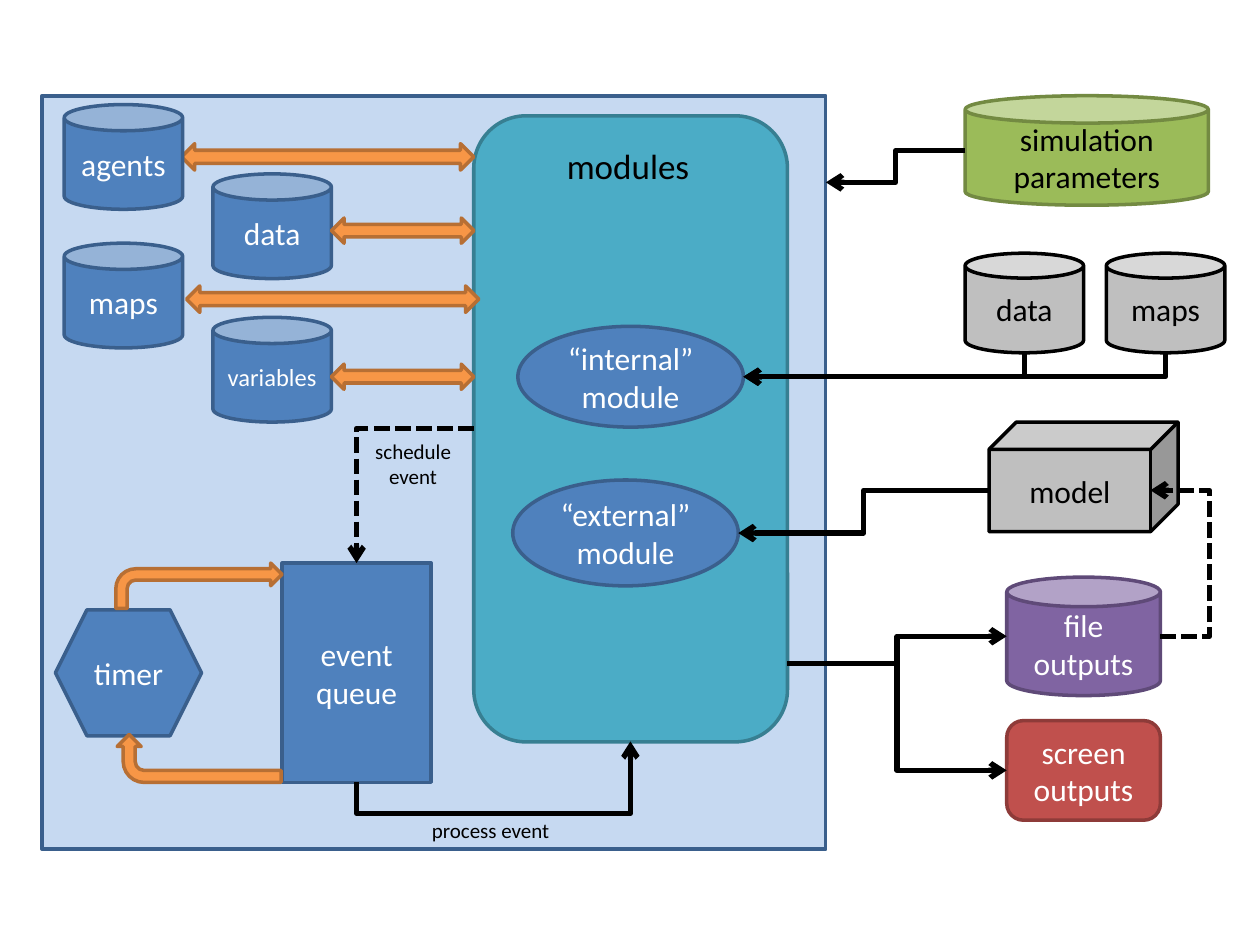
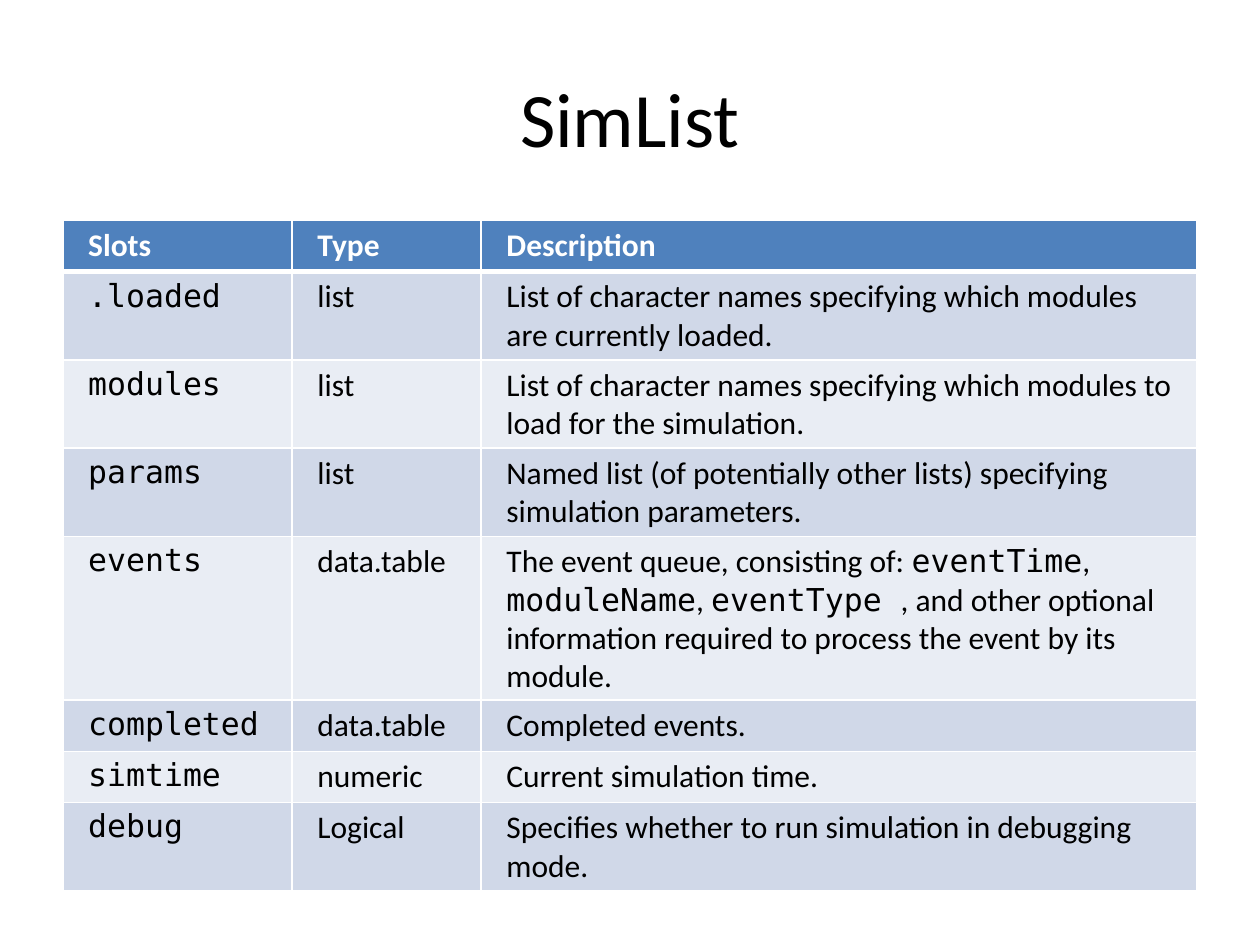
"""Build a simulation architecture diagram and a table of SimList slots."""
from dataclasses import dataclass
from typing import Optional

from lxml.etree import SubElement
from pptx import Presentation
from pptx.dml.color import RGBColor
from pptx.enum.dml import MSO_LINE
from pptx.enum.shapes import MSO_CONNECTOR, MSO_SHAPE
from pptx.enum.text import MSO_ANCHOR, PP_ALIGN
from pptx.oxml.ns import qn
from pptx.util import Pt


@dataclass(frozen=True)
class Paint:
    fill: str
    line: str
    text: str = "FFFFFF"


@dataclass(frozen=True)
class Theme:
    font: str = "Calibri"
    mono: str = "DejaVu Sans Mono"
    black: str = "000000"
    white: str = "FFFFFF"
    bands: tuple[str, str] = ("D0D8E8", "E9EDF4")
    panel: Paint = Paint("C6D9F1", "3A5F8C")
    blue: Paint = Paint("4F81BD", "3A5F8C")
    teal: Paint = Paint("4BACC6", "377F92")
    grey: Paint = Paint("BFBFBF", "000000", "000000")
    green: Paint = Paint("9BBB59", "738A42", "000000")
    purple: Paint = Paint("8064A2", "5F4A78")
    red: Paint = Paint("C0504D", "8E3B39")
    orange: Paint = Paint("F79646", "B76F34")
    title: float = 44
    heading: float = 20
    body: float = 18
    small: float = 14
    note: float = 12
    outline: float = 2
    wire: float = 3


@dataclass(frozen=True)
class Node:
    kind: MSO_SHAPE
    box: tuple[float, float, float, float]
    paint: Paint
    text: str = ""
    size: float = 18
    rotation: float = 0


@dataclass(frozen=True)
class Wire:
    start: tuple[float, float]
    end: tuple[float, float]
    bends: int = 2
    vertical: bool = False
    turn: Optional[float] = None
    dashed: bool = False


@dataclass(frozen=True)
class Label:
    box: tuple[float, float, float, float]
    text: str
    size: float
    wrap: bool = False


T = Theme()
CAN, ELLIPSE, ROUND = MSO_SHAPE.CAN, MSO_SHAPE.OVAL, MSO_SHAPE.ROUNDED_RECTANGLE
DOUBLE, BENT = MSO_SHAPE.LEFT_RIGHT_ARROW, MSO_SHAPE.BENT_ARROW


def store(left: float, top: float, text: str, size: float = T.body) -> Node:
    """Return a blue internal data store."""
    return Node(CAN, (left, top, 67.7, 59.8), T.blue, text, size)


NODES = [
    Node(MSO_SHAPE.RECTANGLE, (24, 54.7, 447.8, 430.6), T.panel),
    Node(ROUND, (270.7, 66.2, 179.3, 357.8), T.teal),
    Node(CAN, (632.2, 144.7, 67.7, 56.9), T.grey, "maps"),
    Node(CAN, (551.5, 144.7, 67.7, 56.9), T.grey, "data"),
    Node(MSO_SHAPE.CUBE, (565.2, 241.2, 108, 62.6), T.grey, "model"),
    Node(ELLIPSE, (295.9, 186.5, 128.9, 57.6), T.blue, "“internal”\nmodule"),
    Node(ELLIPSE, (293, 274.3, 128.9, 60.5), T.blue, "“external”\nmodule"),
    Node(CAN, (575.3, 329.8, 87.8, 67.7), T.purple, "file\noutputs"),
    Node(ROUND, (575.3, 411.8, 87.8, 56.9), T.red, "screen\noutputs"),
    Node(CAN, (551.5, 54.7, 139, 62.6), T.green, "simulation\nparameters"),
    Node(MSO_SHAPE.RECTANGLE, (161.3, 321.8, 85, 125.3), T.blue, "event\vqueue"),
    Node(MSO_SHAPE.HEXAGON, (31.7, 348.5, 83.5, 72), T.blue, "timer"),
    store(121.7, 99.4, "data"),
    store(121.7, 181.4, "variables", T.small),
    store(36.7, 139, "maps"),
    Node(BENT, (66.2, 321.8, 95, 25.9), T.orange),
    Node(BENT, (100.1, 386.6, 27.4, 93.6), T.orange, rotation=270),
    Node(DOUBLE, (189.4, 124.6, 81.4, 14.4), T.orange),
    Node(DOUBLE, (189.4, 208.1, 81.4, 14.4), T.orange),
    Node(DOUBLE, (103.7, 82.1, 167, 15.1), T.orange),
    store(36.7, 59.8, "agents"),
    Node(DOUBLE, (106.6, 163.4, 167, 15.1), T.orange),
]

WIRES = [
    Wire((565.2, 280.2), (421.9, 304.6)),
    Wire((666, 201.6), (424.8, 215.3), bends=1, vertical=True),
    Wire((585.4, 201.6), (424.8, 215.3), bends=1, vertical=True),
    Wire((203.8, 447.1), (360.2, 423.7), vertical=True, turn=464.8),
    Wire((270.7, 244.8), (203.8, 321.8), bends=1, dashed=True),
    Wire((663.1, 363.6), (657.4, 280.2), turn=691.2, dashed=True),
    Wire((450, 379), (575.3, 363.6)),
    Wire((450, 379), (575.3, 440.2)),
    Wire((551.5, 86.2), (472, 104.2)),
]

LABELS = [
    Label((239, 463.7, 82.8, 21.6), "process event", T.note),
    Label((206.6, 247, 59, 36), "schedule\nevent", T.note),
    Label((293, 78.5, 131.8, 31.7), "modules", T.heading, wrap=True),
]

COLUMNS = (131, 108, 409)
ROW_HEIGHT = 29.2
HEADER = ("Slots", "Type", "Description")
SLOTS = [
    ("`.loaded`", "list",
     "List of character names specifying which modules are currently loaded."),
    ("`modules`", "list",
     "List of character names specifying which modules to load for the simulation."),
    ("`params`", "list",
     "Named list (of potentially other lists) specifying simulation parameters."),
    ("`events`", "data.table",
     "The event queue, consisting of: `eventTime`, `moduleName`, `eventType `, "
     "and other optional information required to process the event by its module."),
    ("`completed`", "data.table", "Completed events."),
    ("`simtime`", "numeric", "Current simulation time."),
    ("`debug`", "Logical", "Specifies whether to run simulation in debugging mode."),
]


def rgb(value: str) -> RGBColor:
    """Return a colour from its hex code."""
    return RGBColor.from_string(value)


def style(p, size: float, color: str, name: str = T.font, bold: bool = False) -> None:
    """Set the font that the whole paragraph shares."""
    p.font.name, p.font.size, p.font.bold = name, Pt(size), bold
    p.font.color.rgb = rgb(color)


def write(tf, text: str, size: float, color: str) -> None:
    """Fill a text frame with centred paragraphs."""
    tf.text = text
    tf.vertical_anchor = MSO_ANCHOR.MIDDLE
    for p in tf.paragraphs:
        p.alignment = PP_ALIGN.CENTER
        style(p, size, color)


def draw_node(slide, node: Node) -> None:
    """Draw one preset shape with its caption."""
    sp = slide.shapes.add_shape(node.kind, *map(Pt, node.box))
    sp.shadow.inherit = False
    sp.rotation = node.rotation
    sp.fill.solid()
    sp.fill.fore_color.rgb = rgb(node.paint.fill)
    sp.line.color.rgb = rgb(node.paint.line)
    sp.line.width = Pt(T.outline)
    if node.text:
        write(sp.text_frame, node.text, node.size, node.paint.text)


def draw_wire(slide, wire: Wire) -> None:
    """Draw an elbow arrow, turned a quarter when its first leg is vertical."""
    (x1, y1), (x2, y2) = wire.start, wire.end
    mx, my = (x1 + x2) / 2, (y1 + y2) / 2
    dx, dy = (y2 - y1, x1 - x2) if wire.vertical else (x2 - x1, y2 - y1)
    ends = (mx - dx / 2, my - dy / 2, mx + dx / 2, my + dy / 2)
    sp = slide.shapes.add_connector(MSO_CONNECTOR.ELBOW, *map(Pt, ends))
    sp.line.color.rgb = rgb(T.black)
    sp.line.width = Pt(T.wire)
    if wire.dashed:
        sp.line.dash_style = MSO_LINE.SQUARE_DOT
    pr = sp._element.spPr
    if wire.vertical:
        pr.find(qn("a:xfrm")).set("rot", str(90 * 60000))
    geom = pr.find(qn("a:prstGeom"))
    geom.set("prst", f"bentConnector{wire.bends + 1}")
    if wire.turn is not None:
        share = (wire.turn - (y1 if wire.vertical else x1)) / dx
        guides = geom.find(qn("a:avLst"))
        if guides is None:
            guides = SubElement(geom, qn("a:avLst"))
        SubElement(guides, qn("a:gd"), name="adj1", fmla=f"val {round(share * 100000)}")
    SubElement(pr.find(qn("a:ln")), qn("a:tailEnd"), type="arrow")
    SubElement(pr, qn("a:effectLst"))


def draw_label(slide, label: Label) -> None:
    """Draw a free caption."""
    tf = slide.shapes.add_textbox(*map(Pt, label.box)).text_frame
    tf.word_wrap = label.wrap
    write(tf, label.text, label.size, T.black)


def set_borders(cell, top: float, bottom: float) -> None:
    """Give a cell white borders, ahead of its fill."""
    pr = cell._tc.get_or_add_tcPr()
    for i, (edge, width) in enumerate(zip("LRTB", (1, 1, top, bottom))):
        ln = SubElement(pr, qn(f"a:ln{edge}"), w=str(Pt(width)))
        SubElement(SubElement(ln, qn("a:solidFill")), qn("a:srgbClr"), val=T.white)
        pr.insert(i, ln)


def fill_cell(cell, text: str, row: int) -> None:
    """Write and paint a cell; backticks enclose code."""
    cell.margin_left = cell.margin_right = Pt(14.4)
    cell.margin_top = cell.margin_bottom = Pt(3.6)
    cell.fill.solid()
    cell.fill.fore_color.rgb = rgb(T.bands[(row - 1) % 2] if row else T.blue.fill)
    set_borders(cell, top=3 if row == 1 else 1, bottom=1 if row else 3)
    p = cell.text_frame.paragraphs[0]
    parts = [(part, i % 2 == 1) for i, part in enumerate(text.split("`")) if part]
    all_code = all(code for _, code in parts)
    style(p, T.body, T.black if row else T.white, T.mono if all_code else T.font, not row)
    for part, code in parts:
        r = p.add_run()
        r.text = part
        if code and not all_code:
            r.font.name = T.mono


def build_diagram(slide) -> None:
    """Draw the simulation architecture."""
    for node in NODES:
        draw_node(slide, node)
    for wire in WIRES:
        draw_wire(slide, wire)
    for label in LABELS:
        draw_label(slide, label)


def build_slots(slide) -> None:
    """Draw the title and the table of slots."""
    draw_label(slide, Label((36, 21.6, 648, 90), "SimList", T.title, wrap=True))
    rows = [HEADER, *SLOTS]
    box = (36, 126, sum(COLUMNS), ROW_HEIGHT * len(rows))
    table = slide.shapes.add_table(len(rows), len(COLUMNS), *map(Pt, box)).table
    for column, width in zip(table.columns, COLUMNS):
        column.width = Pt(width)
    for i, row in enumerate(rows):
        table.rows[i].height = Pt(ROW_HEIGHT)
        for j, text in enumerate(row):
            fill_cell(table.cell(i, j), text, i)


def main() -> None:
    """Build and save the presentation."""
    prs = Presentation()
    prs.slide_width, prs.slide_height = Pt(720), Pt(540)
    for build in (build_diagram, build_slots):
        build(prs.slides.add_slide(prs.slide_layouts[6]))
    prs.save("out.pptx")


main()
